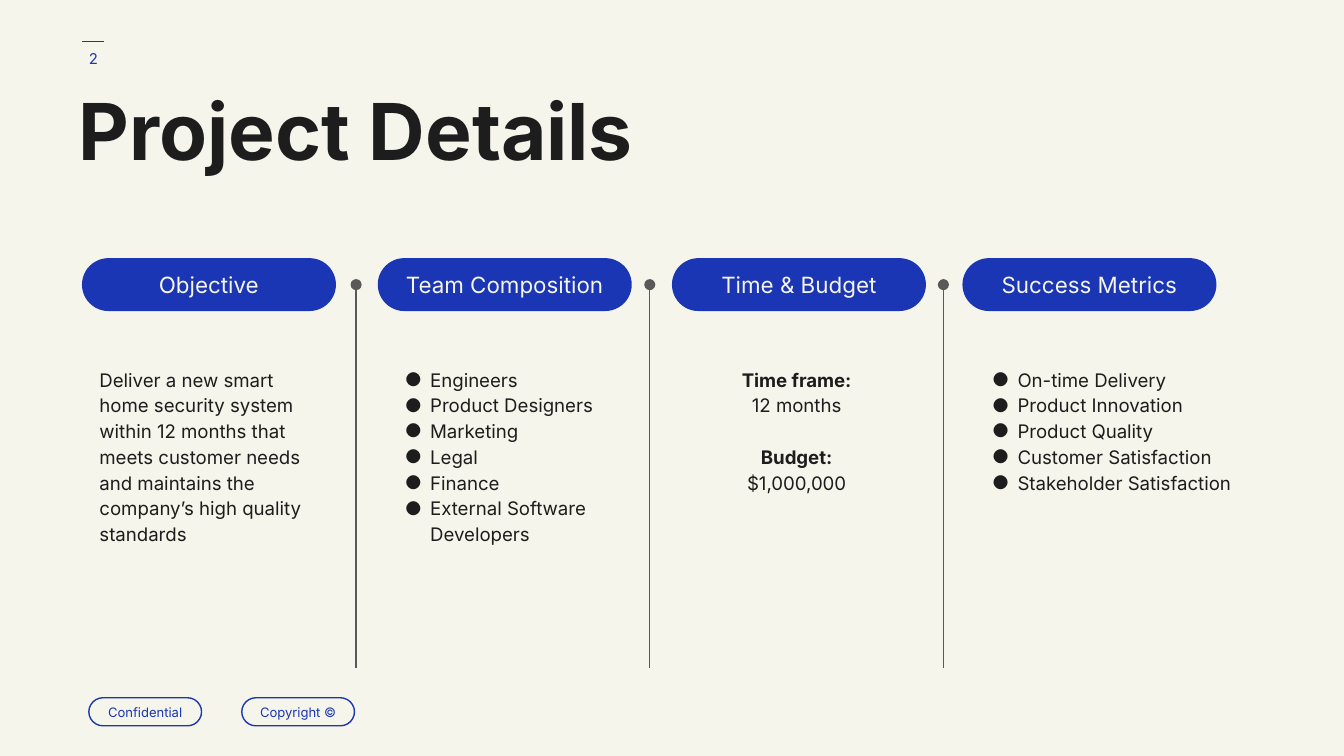
from pptx import Presentation
from pptx.dml.color import RGBColor
from pptx.enum.shapes import MSO_CONNECTOR, MSO_SHAPE
from pptx.enum.text import MSO_ANCHOR, MSO_AUTO_SIZE, PP_ALIGN
from pptx.oxml import parse_xml
from pptx.oxml.ns import nsdecls, qn
from pptx.util import Cm, Pt

COLORS = {"paper": "F6F5EC", "blue": "1A36B4", "ink": "1D1D1D", "gray": "595959"}


class SlideBuilder:
    font_name = "Inter"
    inset = Cm(0.25)

    def __init__(self, page):
        self.page = page
        self.page.background.fill.solid()
        self.page.background.fill.fore_color.rgb = self.color("paper")

    def color(self, name):
        return RGBColor.from_string(COLORS[name])

    def element(self, tag, attributes=""):
        return parse_xml(f"<a:{tag} {nsdecls('a')} {attributes}/>")

    def set_text(self, shape, lines, size, color, align=PP_ALIGN.LEFT,
                 anchor=MSO_ANCHOR.TOP, spacing=1.0, bold_lines=()):
        frame = shape.text_frame
        frame.text = "\n".join(lines)
        frame.word_wrap = True
        frame.auto_size = MSO_AUTO_SIZE.NONE
        frame.vertical_anchor = anchor
        frame.margin_left = frame.margin_right = self.inset
        frame.margin_top = frame.margin_bottom = self.inset
        for index, para in enumerate(frame.paragraphs):
            para.alignment = align
            para.line_spacing = spacing
            para.space_before = Pt(0)
            para.font.name = self.font_name
            para.font.size = Pt(size)
            para.font.bold = index in bold_lines
            para.font.color.rgb = self.color(color)
        return frame.paragraphs

    def place(self, shape, left, top, width, height):
        shape.left, shape.top = Cm(left), Cm(top)
        shape.width, shape.height = Cm(width), Cm(height)

    def title(self, text, *area):
        shape = self.page.shapes.title
        self.place(shape, *area)
        self.set_text(shape, [text], 42, "ink", spacing=0.8, bold_lines=(0,))

    def body(self, index, lines, left, width, bulleted=False, **style):
        shape = self.page.placeholders[index]
        self.place(shape, left, 6.65, width, 4.78)
        paragraphs = self.set_text(shape, lines, 10, "ink", spacing=1.15, **style)
        for para in paragraphs:
            properties = para._p.get_or_add_pPr()
            properties.set("marL", str(Cm(0.64) if bulleted else 0))
            properties.set("indent", str(Cm(-0.48) if bulleted else 0))
            bullets = [self.element("buNone")]
            if bulleted:
                bullets = [self.element("buFont", f'typeface="{self.font_name}"'),
                           self.element("buChar", 'char="●"')]
            defaults = properties.find(qn("a:defRPr"))
            for bullet in bullets:
                defaults.addprevious(bullet)
        return paragraphs

    def pill(self, text, left, top, width, height, size, filled):
        shape = self.page.shapes.add_shape(
            MSO_SHAPE.ROUNDED_RECTANGLE, Cm(left), Cm(top), Cm(width), Cm(height))
        shape.adjustments[0] = 0.5
        shape.shadow.inherit = False
        if filled:
            shape.fill.solid()
            shape.fill.fore_color.rgb = self.color("blue")
            shape.line.fill.background()
        else:
            shape.fill.background()
            shape.line.color.rgb = self.color("blue")
            shape.line.width = Pt(0.75)
        self.set_text(shape, [text], size, "paper" if filled else "blue",
                      PP_ALIGN.CENTER, MSO_ANCHOR.MIDDLE)

    def label(self, text, left, top, width, height):
        box = self.page.shapes.add_textbox(Cm(left), Cm(top), Cm(width), Cm(height))
        self.set_text(box, [text], 8, "blue", PP_ALIGN.CENTER, MSO_ANCHOR.MIDDLE)

    def line(self, start, end, color, dotted_start=False):
        connector = self.page.shapes.add_connector(
            MSO_CONNECTOR.STRAIGHT, *map(Cm, start), *map(Cm, end))
        connector.line.color.rgb = self.color(color)
        connector.line.width = Pt(0.75)
        properties = connector._element.spPr
        if dotted_start:
            properties.find(qn("a:ln")).append(self.element("headEnd", 'type="oval"'))
        properties.append(self.element("effectLst"))


def main():
    deck = Presentation()
    deck.slide_width, deck.slide_height = Cm(25.4), Cm(14.29)
    comparison_layout = deck.slide_layouts[4]
    builder = SlideBuilder(deck.slides.add_slide(comparison_layout))

    builder.line((1.55, 0.78), (1.97, 0.78), "blue")
    builder.label("2", 1.17, 0.56, 1.19, 1.09)
    builder.title("Project Details", 1.24, 1.65, 19.08, 2.9)

    headings = {"Objective": 1.55, "Team Composition": 7.14,
                "Time & Budget": 12.7, "Success Metrics": 18.19}
    for heading, left in headings.items():
        builder.pill(heading, left, 4.88, 4.8, 1, 12, filled=True)

    builder.body(1, ["Deliver a new smart home security system within 12 months "
                     "that meets customer needs and maintains the company’s "
                     "high quality standards"], 1.63, 4.55)
    builder.body(2, ["Engineers", "Product Designers", "Marketing", "Legal", "Finance",
                     "External Software Developers"], 7.24, 4.8, bulleted=True)
    budget = builder.body(3, ["Time frame:", "12 months", "Budget:", "$1,000,000"],
                          12.78, 4.55, align=PP_ALIGN.CENTER, bold_lines=(0, 2))
    budget[2].space_before = Pt(13.8)
    builder.body(4, ["On-time Delivery", "Product Innovation", "Product Quality",
                     "Customer Satisfaction", "Stakeholder Satisfaction"],
                 18.34, 5.38, bulleted=True)

    for column in range(3):
        x = 6.73 + column * 5.55
        builder.line((x, 5.38), (x, 12.62), "gray", dotted_start=True)

    for left, text in ((1.68, "Confidential"), (4.57, "Copyright ©")):
        builder.pill(text, left, 13.19, 2.13, 0.53, 7, filled=False)

    deck.save("out.pptx")


if __name__ == "__main__":
    main()
